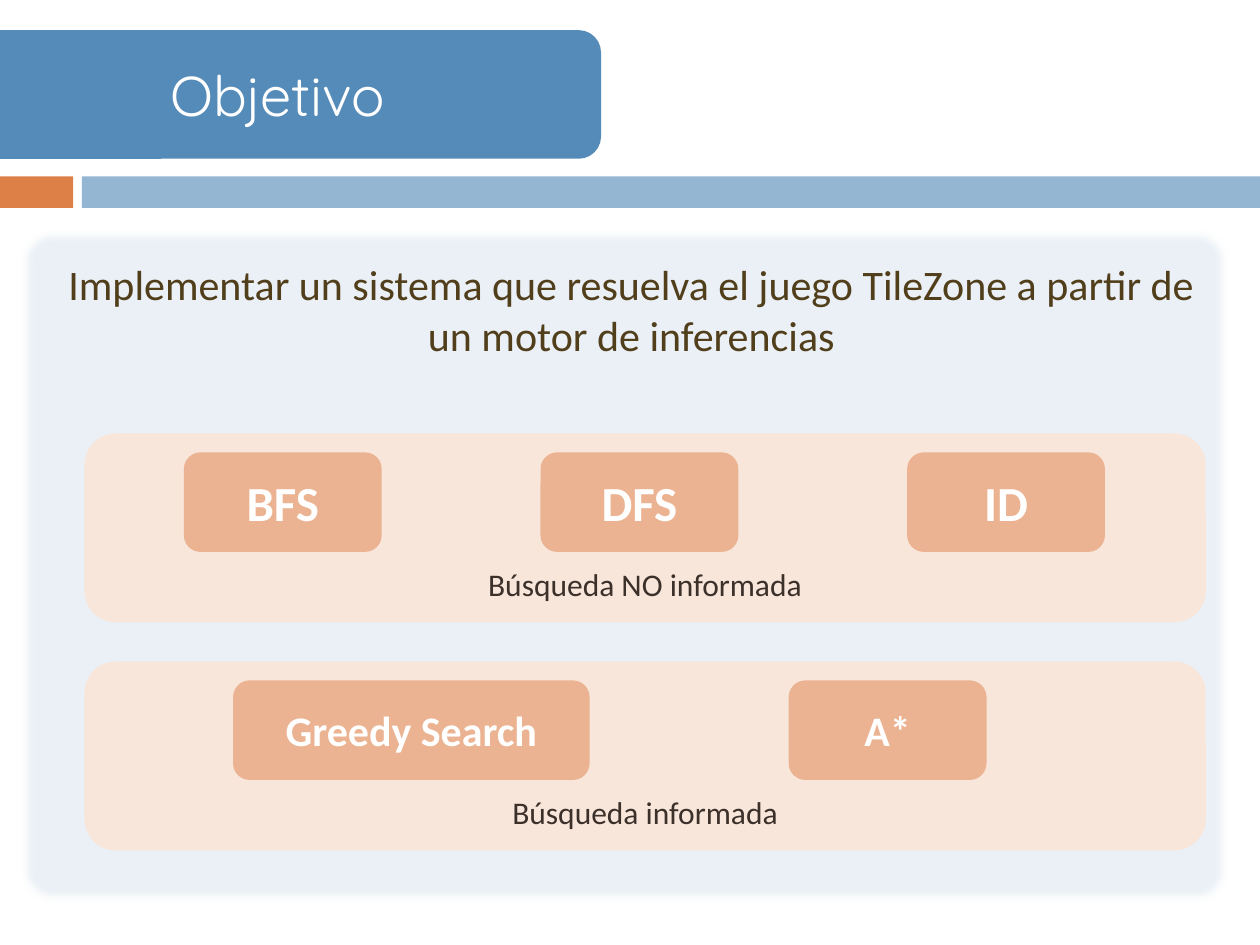
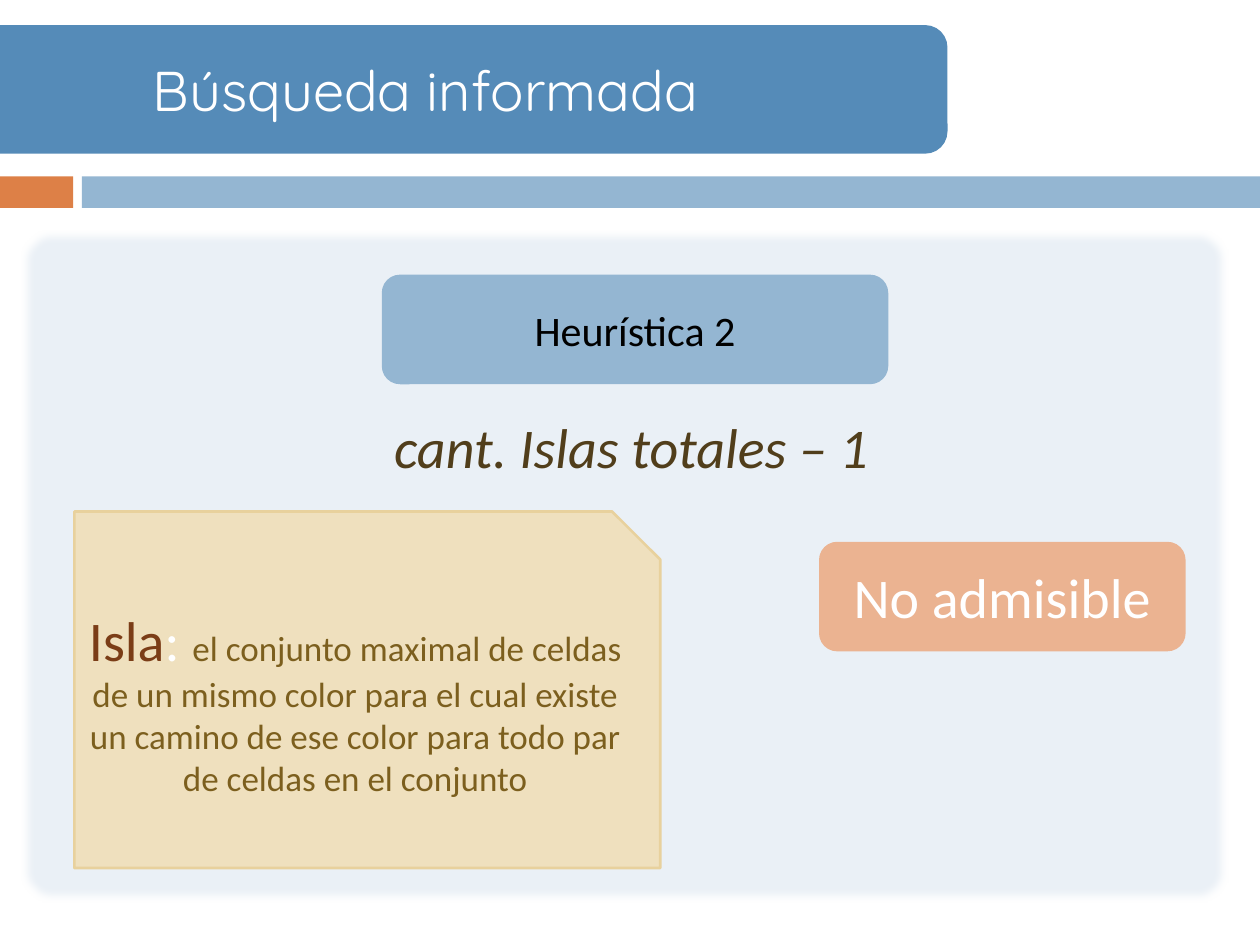
"""Build two slides on search strategies for a puzzle solver."""
from lxml import etree
from pptx import Presentation
from pptx.dml.color import RGBColor
from pptx.enum.shapes import MSO_SHAPE
from pptx.enum.text import MSO_ANCHOR, PP_ALIGN
from pptx.oxml.ns import qn
from pptx.util import Inches, Pt

COLORS = {
    "orange": "DD8047", "sky": "94B6D2", "title": "558BB8",
    "panel": "EAF0F6", "peach": "F8E6DA", "salmon": "EBB391",
    "sand": "EFE0BE", "sand_line": "E8D19D", "brown": "513E1B",
    "caption": "3C302A", "rust": "7B3D17", "ochre": "7C5F1E",
    "white": "FFFFFF", "black": "000000",
}


class Deck:
    def __init__(self):
        self.prs = Presentation()
        self.prs.slide_width = Inches(10)
        self.prs.slide_height = Inches(7.5)
        self.s = None

    def color(self, name):
        return RGBColor.from_string(COLORS[name])

    def slide(self):
        self.s = self.prs.slides.add_slide(self.prs.slide_layouts[6])
        self.box(MSO_SHAPE.RECTANGLE, (0, 1.4, 0.58, 0.25), "orange")
        self.box(MSO_SHAPE.RECTANGLE, (0.65, 1.4, 9.35, 0.25), "sky")

    def box(self, kind, at, fill, line=None, adj=None):
        sp = self.s.shapes.add_shape(kind, *(Inches(v) for v in at))
        sp.shadow.inherit = False
        sp.fill.solid()
        sp.fill.fore_color.rgb = self.color(fill)
        if line:
            sp.line.color.rgb = self.color(line)
            sp.line.width = Pt(1.5)
        else:
            sp.line.fill.background()
        if adj is not None:
            sp.adjustments[0] = adj
        return sp

    def text(self, sp, runs, anchor=MSO_ANCHOR.MIDDLE, font="Calibri", bold=False, italic=False):
        tf = sp.text_frame
        tf.word_wrap = True
        tf.vertical_anchor = anchor
        p = tf.paragraphs[0]
        p.alignment = PP_ALIGN.CENTER
        for words, size, color in runs:
            r = p.add_run()
            r.text = words
            r.font.name = font
            r.font.size = Pt(size)
            r.font.bold = bold
            r.font.italic = italic
            r.font.color.rgb = self.color(color)

    def title(self, words, at):
        sp = self.box(MSO_SHAPE.ROUNDED_RECTANGLE, at, "title", "title")
        self.text(sp, [(words, 32, "white")], font="Quicksand")

    def panel(self, words, size, top=0.16, italic=False):
        sp = self.box(MSO_SHAPE.ROUNDED_RECTANGLE, (0.17, 1.83, 9.58, 5.33), "panel", adj=0.041)
        effects = sp._element.spPr.find(qn("a:effectLst"))
        etree.SubElement(effects, qn("a:softEdge"), rad=str(Pt(5)))
        sp.text_frame.margin_left = Inches(0.2)
        sp.text_frame.margin_top = Inches(top)
        self.text(sp, [(words, size, "brown")], MSO_ANCHOR.TOP, italic=italic)

    def label(self, words, at, size, fill="salmon", color="white", bold=False):
        sp = self.box(MSO_SHAPE.ROUNDED_RECTANGLE, at, fill)
        self.text(sp, [(words, size, color)], bold=bold)

    def group(self, caption, top, size, methods):
        sp = self.box(MSO_SHAPE.ROUNDED_RECTANGLE, (0.67, top, 8.9, 1.5), "peach")
        sp.text_frame.margin_bottom = Inches(0.08)
        self.text(sp, [(caption, 18, "caption")], MSO_ANCHOR.BOTTOM)
        for words, left, width in methods:
            self.label(words, (left, top + 0.15, width, 0.79), size, bold=True)

    def note(self, runs, at):
        sp = self.box(MSO_SHAPE.SNIP_1_RECTANGLE, at, "sand", "sand_line", 0.135)
        self.text(sp, runs)


def main():
    deck = Deck()

    deck.slide()
    deck.panel("Implementar un sistema que resuelva el juego TileZone a partir de un motor de inferencias", 24)
    deck.title("Objetivo", (-0.35, 0.25, 5.11, 1))
    deck.group("Búsqueda NO informada", 3.44, 28,
               [("BFS", 1.46, 1.57), ("DFS", 4.29, 1.57), ("ID", 7.2, 1.57)])
    deck.group("Búsqueda informada", 5.25, 24,
               [("Greedy Search", 1.85, 2.83), ("A*", 6.26, 1.57)])

    deck.slide()
    deck.title("Búsqueda informada", (-0.75, 0.21, 8.26, 1))
    deck.panel("cant. Islas totales – 1", 32, top=1.38, italic=True)
    deck.label("Heurística 2", (3.03, 2.18, 4.02, 0.87), 24, "sky", "black")
    deck.label("No admisible", (6.5, 4.3, 2.91, 0.87), 32)
    deck.note([
        ("Isla", 32, "rust"),
        (": ", 32, "white"),
        ("el conjunto maximal de celdas de un mismo color para el cual existe "
         "un camino de ese color para todo par de celdas en el conjunto", 20, "ochre"),
    ], (0.59, 4.06, 4.65, 2.83))

    deck.prs.save("out.pptx")


if __name__ == "__main__":
    main()
